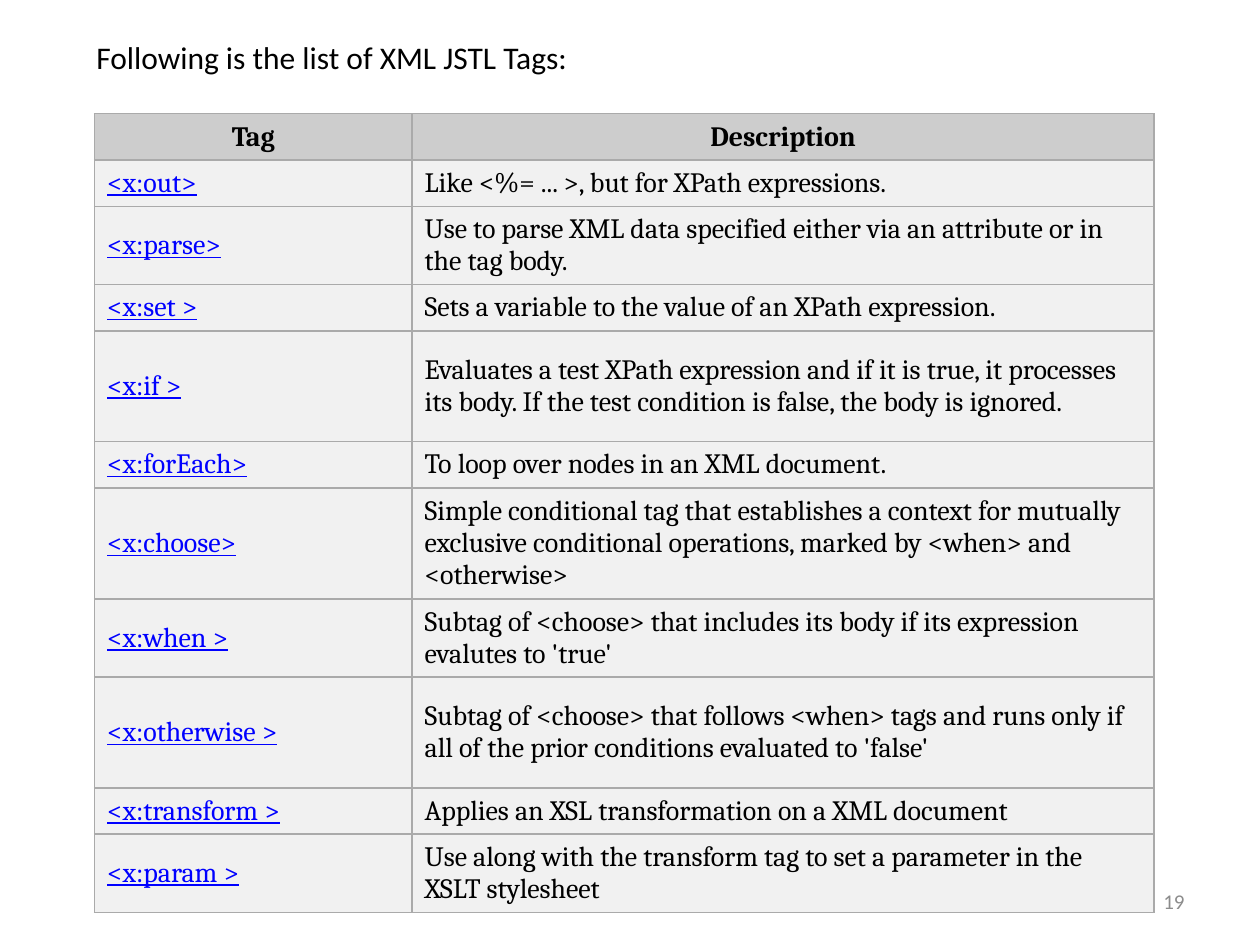
from lxml import etree
from pptx import Presentation
from pptx.dml.color import RGBColor
from pptx.enum import text
from pptx.oxml import ns
from pptx.util import Pt

TITLE = "Following is the list of XML JSTL Tags:"
PAGE_NUMBER = "19"
HEADINGS = ("Tag", "Description")
# tag, description, row height in lines
TAGS = [
    ("<x:out>", "Like <%= ... >, but for XPath expressions.", 1),
    ("<x:parse>", "Use to parse XML data specified either via an attribute or in the tag body.", 2),
    ("<x:set >", "Sets a variable to the value of an XPath expression.", 1),
    ("<x:if >", "Evaluates a test XPath expression and if it is true, it processes its body. "
     "If the test condition is false, the body is ignored.", 3),
    ("<x:forEach>", "To loop over nodes in an XML document.", 1),
    ("<x:choose>", "Simple conditional tag that establishes a context for mutually exclusive "
     "conditional operations, marked by <when> and <otherwise>", 3),
    ("<x:when >", "Subtag of <choose> that includes its body if its expression evalutes to 'true'", 2),
    ("<x:otherwise >", "Subtag of <choose> that follows <when> tags and runs only if all of the "
     "prior conditions evaluated to 'false'", 3),
    ("<x:transform >", "Applies an XSL transformation on a XML document", 1),
    ("<x:param >", "Use along with the transform tag to set a parameter in the XSLT stylesheet", 2),
]
COLUMN_WIDTHS = (181.5, 424)
ROW_HEIGHTS = {1: 26.5, 2: 44.6, 3: 63.4}
BORDER = "AAAAAA"


def color(value):
    return RGBColor.from_string(value)


def style(para, font, size, ink, align=text.PP_ALIGN.LEFT):
    para.alignment = align
    for span in para.runs:
        span.font.name = font
        span.font.size = Pt(size)
        span.font.color.rgb = color(ink)


def add_text(page, words, left, top, width, height, size, ink, align, anchor):
    box = page.shapes.add_textbox(Pt(left), Pt(top), Pt(width), Pt(height))
    frame = box.text_frame
    frame.word_wrap = True
    frame.vertical_anchor = anchor
    frame.text = words
    style(frame.paragraphs[0], "Calibri", size, ink, align)


def add_borders(cell):
    """Put the four side lines ahead of the fill, as the schema orders them."""
    properties = cell._tc.get_or_add_tcPr()
    for position, side in enumerate(("lnL", "lnR", "lnT", "lnB")):
        line = etree.Element(ns.qn("a:" + side), w=str(Pt(1)))
        fill = etree.SubElement(line, ns.qn("a:solidFill"))
        etree.SubElement(fill, ns.qn("a:srgbClr"), val=BORDER)
        properties.insert(position, line)


def fill_cell(cell, words, fill, ink="000000", align=text.PP_ALIGN.LEFT, bold=False, underline=False):
    cell.text = words
    cell.vertical_anchor = text.MSO_ANCHOR.MIDDLE
    cell.fill.solid()
    cell.fill.fore_color.rgb = color(fill)
    add_borders(cell)
    para = cell.text_frame.paragraphs[0]
    style(para, "Cambria", 16, ink, align)
    para.runs[0].font.bold = bold
    para.runs[0].font.underline = underline


def add_tag_table(page):
    heights = [ROW_HEIGHTS[lines] for lines in [1] + [tag[2] for tag in TAGS]]
    table = page.shapes.add_table(
        len(heights), len(HEADINGS), Pt(54), Pt(65), Pt(sum(COLUMN_WIDTHS)), Pt(sum(heights))
    ).table
    table.horz_banding = False
    for column, width in zip(table.columns, COLUMN_WIDTHS):
        column.width = Pt(width)
    for row, height in zip(table.rows, heights):
        row.height = Pt(height)
    for index, heading in enumerate(HEADINGS):
        fill_cell(table.cell(0, index), heading, "CDCDCD", align=text.PP_ALIGN.CENTER, bold=True)
    for index, (tag, description, _) in enumerate(TAGS, 1):
        fill_cell(table.cell(index, 0), tag, "F1F1F1", ink="0000FF", underline=True)
        fill_cell(table.cell(index, 1), description, "F1F1F1")


def main():
    deck = Presentation()
    deck.slide_width, deck.slide_height = Pt(720), Pt(540)
    page = deck.slides.add_slide(deck.slide_layouts[6])
    add_tag_table(page)
    add_text(page, TITLE, 48, 18, 402, 29, 18, "000000",
             text.PP_ALIGN.LEFT, text.MSO_ANCHOR.TOP)
    add_text(page, PAGE_NUMBER, 516, 500.5, 168, 28.75, 12, "8C8C8C",
             text.PP_ALIGN.RIGHT, text.MSO_ANCHOR.MIDDLE)
    deck.save("out.pptx")


if __name__ == "__main__":
    main()
